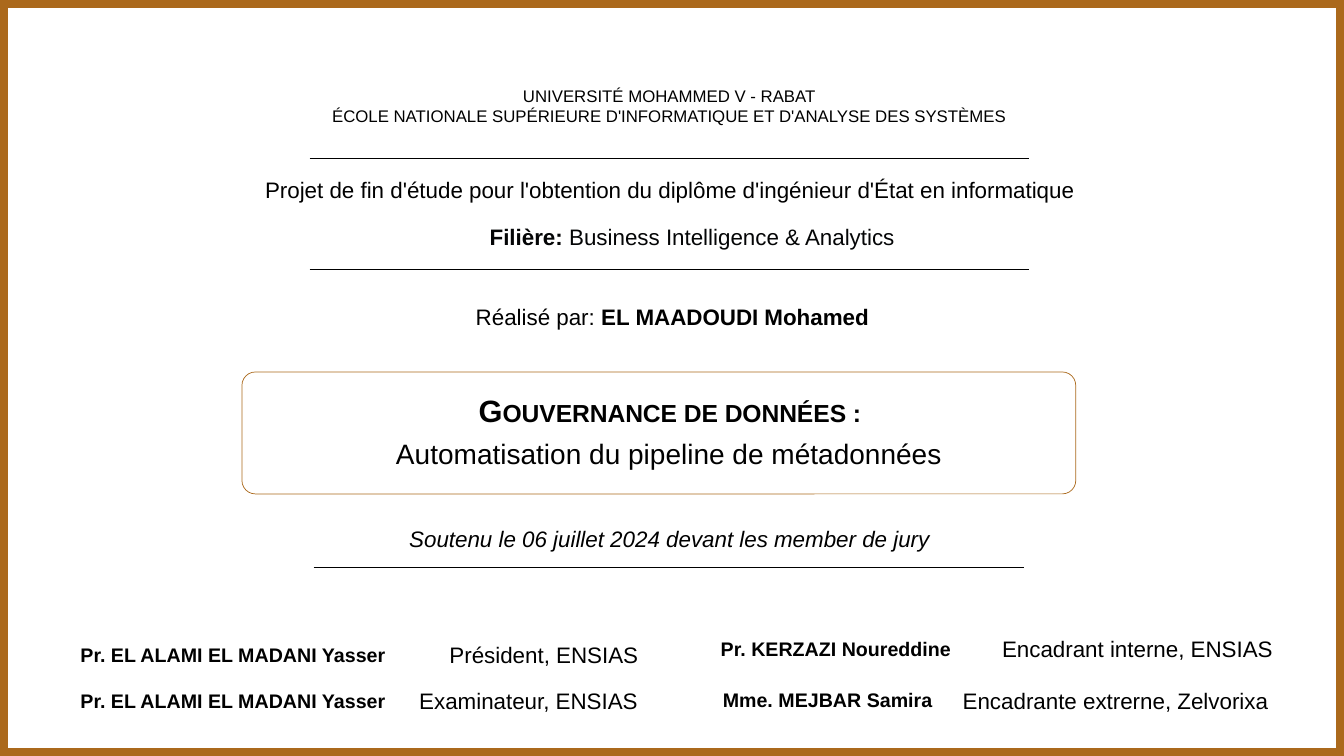
from dataclasses import dataclass

from lxml.etree import SubElement
from pptx import Presentation
from pptx.dml.color import RGBColor
from pptx.enum.shapes import MSO_CONNECTOR as Connector, MSO_SHAPE as Preset
from pptx.enum.text import MSO_ANCHOR as Anchor, MSO_AUTO_SIZE as AutoSize, PP_ALIGN as Align
from pptx.oxml.ns import qn
from pptx.shapes.autoshape import Shape
from pptx.slide import Slide
from pptx.text.text import TextFrame
from pptx.util import Inches, Pt

BLACK = RGBColor(0x00, 0x00, 0x00)
INK = RGBColor(0x04, 0x05, 0x06)
BRONZE = RGBColor(0xAB, 0x69, 0x1C)
SLIDE_WIDTH, SLIDE_HEIGHT = 13.33, 7.5


@dataclass(frozen=True)
class Span:
    text: str
    bold: bool = False
    italic: bool = False


@dataclass(frozen=True)
class Caption:
    box: tuple[float, float, float, float]
    lines: tuple[tuple[Span, ...], ...]
    size: float = 16
    align: Align = Align.CENTER
    anchor: Anchor = Anchor.TOP
    color: RGBColor = BLACK


@dataclass(frozen=True)
class JuryMember:
    name: str
    name_box: tuple[float, float, float]
    role: str
    role_box: tuple[float, float, float]


@dataclass(frozen=True)
class Rule:
    left: float
    right: float
    y: float


TITLE = Caption((4.36, 4, 4.57, 0.31), ((Span("Gouvernance de données :", bold=True),),),
                size=22, anchor=Anchor.BOTTOM)

CAPTIONS = (
    Caption((2.61, 0.8, 8.06, 0.5), (
        (Span("UNIVERSITÉ MOHAMMED V - RABAT"),),
        (Span("ÉCOLE NATIONALE SUPÉRIEURE D'INFORMATIQUE ET D'ANALYSE DES SYSTÈMES"),),
    ), size=12),
    Caption((1.96, 1.7, 9.37, 0.37), ((Span(
        "Projet de fin d'étude pour l'obtention du diplôme d'ingénieur d'État en informatique"),),),
        anchor=Anchor.MIDDLE),
    Caption((4.67, 2.16, 4.39, 0.37), (
        (Span("Filière: ", bold=True), Span("Business Intelligence & Analytics")),), color=INK),
    Caption((4.62, 2.96, 4.31, 0.37), (
        (Span("Réalisé par: "), Span("EL MAADOUDI Mohamed", bold=True)),), align=Align.LEFT),
    Caption((3.29, 4.28, 6.69, 0.44), (
        (Span("Automatisation du pipeline de métadonnées"),),), size=20),
    Caption((3.6, 5.16, 6.08, 0.37), (
        (Span("Soutenu le 06 juillet 2024 devant les member de jury", italic=True),),)),
)

# Jury boxes hold left, top and width.
JURY = (
    JuryMember("Pr. EL ALAMI EL MADANI Yasser", (0.7, 6.33, 3.63),
               "Président, ENSIAS", (4.36, 6.31, 2.3)),
    JuryMember("Pr. EL ALAMI EL MADANI Yasser", (0.7, 6.79, 3.63),
               "Examinateur, ENSIAS", (4.06, 6.77, 2.63)),
    JuryMember("Pr. KERZAZI Noureddine", (7.05, 6.27, 2.81),
               "Encadrant interne, ENSIAS", (9.84, 6.25, 3.26)),
    JuryMember("Mme. MEJBAR Samira", (7.07, 6.78, 2.62),
               "Encadrante extrerne, Zelvorixa", (9.45, 6.77, 3.73)),
)

RULES = (Rule(3.07, 10.21, 1.57), Rule(3.07, 10.21, 2.67), Rule(3.11, 10.16, 5.63))


def write_caption(frame: TextFrame, caption: Caption) -> None:
    frame.word_wrap = True
    frame.auto_size = AutoSize.NONE
    frame.vertical_anchor = caption.anchor
    for index, line in enumerate(caption.lines):
        paragraph = frame.add_paragraph() if index else frame.paragraphs[0]
        paragraph.alignment = caption.align
        for span in line:
            run = paragraph.add_run()
            run.text = span.text
            font_format = {"name": "Arial", "size": Pt(caption.size),
                           "bold": span.bold, "italic": span.italic}
            for attribute, value in font_format.items():
                setattr(run.font, attribute, value)
            run.font.color.rgb = caption.color


def add_caption(slide: Slide, caption: Caption) -> None:
    textbox = slide.shapes.add_textbox(*map(Inches, caption.box))
    write_caption(textbox.text_frame, caption)


def add_title(slide: Slide) -> None:
    title = slide.shapes.title
    for side, length in zip(("left", "top", "width", "height"), TITLE.box):
        setattr(title, side, Inches(length))
    write_caption(title.text_frame, TITLE)
    paragraph = title.text_frame.paragraphs[0]
    paragraph.line_spacing = 0.9
    paragraph.runs[0]._r.get_or_add_rPr().set("cap", "small")


def add_frame(slide: Slide, preset: Preset, box: tuple[float, float, float, float],
              line_width: float) -> Shape:
    frame = slide.shapes.add_shape(preset, *map(Inches, box))
    frame.shadow.inherit = False
    frame.fill.background()
    frame.line.color.rgb = BRONZE
    frame.line.width = Pt(line_width)
    return frame


def add_rule(slide: Slide, rule: Rule) -> None:
    connector = slide.shapes.add_connector(
        Connector.STRAIGHT, *map(Inches, (rule.left, rule.y, rule.right, rule.y)))
    connector.line.color.rgb = BLACK
    connector.line.width = Pt(0.5)
    SubElement(connector._element.spPr, qn("a:effectLst"))


def add_jury_member(slide: Slide, member: JuryMember) -> None:
    add_caption(slide, Caption((*member.name_box, 0.34), ((Span(member.name, bold=True),),),
                               size=14, align=Align.LEFT))
    add_caption(slide, Caption((*member.role_box, 0.37), ((Span(member.role),),),
                               align=Align.LEFT))


def main() -> None:
    presentation = Presentation()
    presentation.slide_width = Inches(SLIDE_WIDTH)
    presentation.slide_height = Inches(SLIDE_HEIGHT)
    slide = presentation.slides.add_slide(presentation.slide_layouts.get_by_name("Title Only"))

    add_frame(slide, Preset.RECTANGLE, (0, 0, SLIDE_WIDTH, SLIDE_HEIGHT), 11.5)
    title_frame = add_frame(slide, Preset.ROUNDED_RECTANGLE, (2.4, 3.69, 8.27, 1.21), 0.5)
    title_frame.adjustments[0] = 0.11
    add_title(slide)
    for caption in CAPTIONS:
        add_caption(slide, caption)
    for rule in RULES:
        add_rule(slide, rule)
    for member in JURY:
        add_jury_member(slide, member)

    presentation.save("out.pptx")


if __name__ == "__main__":
    main()
